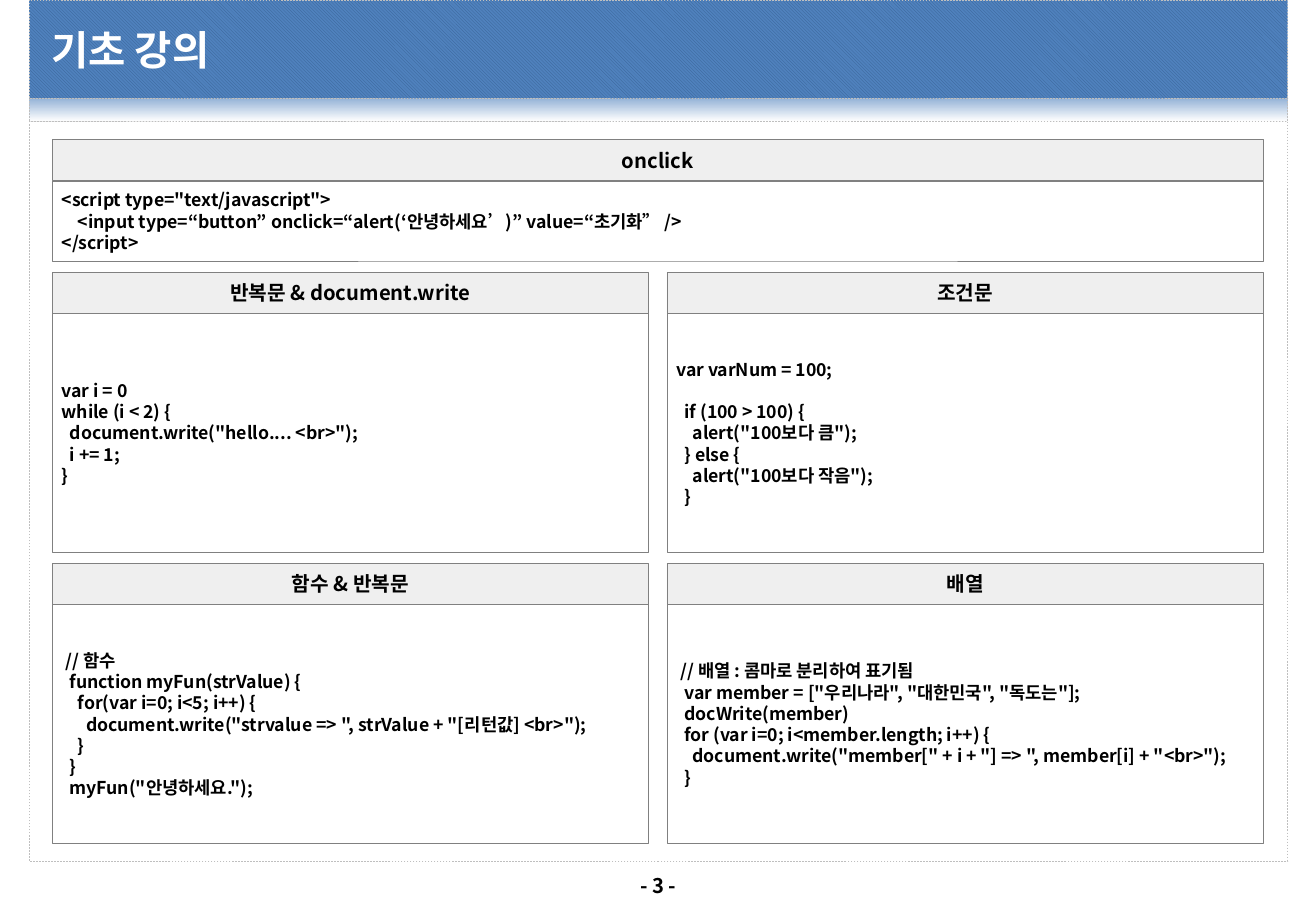
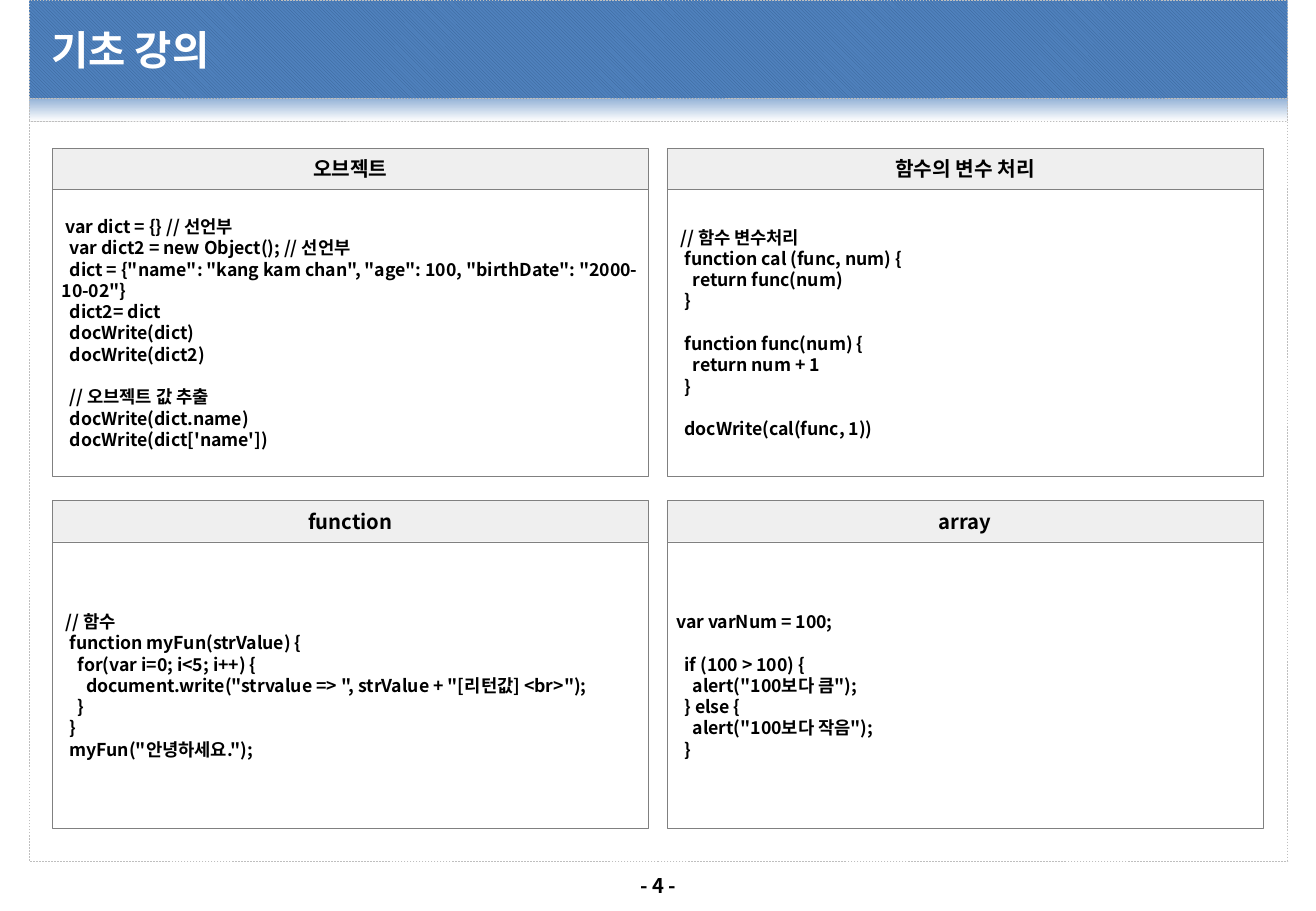
from dataclasses import dataclass

from lxml.etree import SubElement
from pptx import Presentation
from pptx.dml.color import RGBColor
from pptx.enum.dml import MSO_LINE, MSO_PATTERN
from pptx.enum.shapes import MSO_SHAPE
from pptx.enum.text import MSO_ANCHOR, MSO_AUTO_SIZE, PP_ALIGN
from pptx.oxml.ns import qn
from pptx.util import Cm, Pt


@dataclass(frozen=True)
class Theme:
    font: str = "Noto Sans CJK KR"
    black: str = "000000"
    white: str = "FFFFFF"
    blue: str = "4F81BD"
    navy: str = "376092"
    sky: str = "95B3D7"
    dash: str = "BFBFBF"
    edge: str = "808080"
    head: str = "D9D9D9"
    clear: int = 40  # opacity of panel heads, percent
    big: float = 24
    mid: float = 12
    small: float = 10.5
    lead: float = 12.6  # line pitch of code


# Layout in centimetres
LEFT, WIDE = 1.09, 25.32
SPLIT = 0.38
HEAD = 0.86
STEP = 0.17  # two columns of code indent


def rgb(code):
    return RGBColor.from_string(code)


class Deck:
    def __init__(self, theme):
        self.theme = theme
        self.prs = Presentation()
        self.prs.slide_width, self.prs.slide_height = Cm(27.51), Cm(19.05)
        self.slide = None

    def page(self, title, number):
        """Start a slide with its bands, title and page number."""
        t = self.theme
        self.slide = self.prs.slides.add_slide(self.prs.slide_layouts[5])

        # Bands
        fade = self.rect(0.61, 2.06, 26.31, 0.48, t.dash, True).fill
        fade.gradient()
        fade.gradient_angle = 270
        for stop, tint in zip(fade.gradient_stops, (t.sky, t.white)):
            stop.color.rgb = rgb(tint)
        self.paint(self.rect(0.61, 2.54, 26.31, 15.47, t.dash, True), t.white)
        band = self.rect(0.61, 0, 26.31, 2.06, t.dash, True).fill
        band.patterned()
        band.pattern = MSO_PATTERN.LIGHT_DOWNWARD_DIAGONAL
        band.fore_color.rgb, band.back_color.rgb = rgb(t.navy), rgb(t.blue)

        # Title, lifted above the bands
        name = self.slide.shapes.title
        self.slide.shapes.element.append(name.element)
        name.left, name.top, name.width, name.height = (
            Cm(0.97), Cm(0.2), Cm(25.63), Cm(1.68))
        self.frame(name, 0.1)
        self.say(name.text_frame.paragraphs[0], title, t.big, t.white)

        # Page number
        foot = self.slide.shapes.add_textbox(Cm(12.9), Cm(18.14), Cm(1.73), Cm(0.76))
        self.frame(foot, 0.13)
        self.say(foot.text_frame.paragraphs[0], f"- {number} -", t.mid,
                 t.black, PP_ALIGN.CENTER)

    def rect(self, x, y, w, h, line, dashed=False):
        box = self.slide.shapes.add_shape(
            MSO_SHAPE.RECTANGLE, Cm(x), Cm(y), Cm(w), Cm(h))
        box.shadow.inherit = False
        box.line.color.rgb = rgb(line)
        box.line.width = Pt(0.25)
        if dashed:
            box.line.dash_style = MSO_LINE.DASH
        return box

    def paint(self, box, color, alpha=None):
        box.fill.solid()
        box.fill.fore_color.rgb = rgb(color)
        if alpha:
            tint = box.element.spPr.find(qn("a:solidFill"))[0]
            SubElement(tint, qn("a:alpha"), val=str(alpha * 1000))

    def frame(self, box, pad):
        text = box.text_frame
        text.word_wrap = True
        text.auto_size = MSO_AUTO_SIZE.NONE
        text.vertical_anchor = MSO_ANCHOR.MIDDLE
        text.margin_left = text.margin_right = Cm(pad)
        text.margin_top = text.margin_bottom = Cm(pad)

    def say(self, para, words, size, color, align=PP_ALIGN.LEFT):
        para.alignment = align
        run = para.add_run()
        run.text = words
        font = run.font
        font.size, font.bold, font.name = Pt(size), True, self.theme.font
        font.color.rgb = rgb(color)
        SubElement(run._r.get_or_add_rPr(), qn("a:ea"), typeface=self.theme.font)

    def code(self, box, source):
        """Leading blanks become indents, empty lines become spacing."""
        t = self.theme
        text, gap, first = box.text_frame, 0, True
        for line in source.strip("\n").splitlines():
            words = line.lstrip()
            if not words:
                gap += t.lead
                continue
            para = text.paragraphs[0] if first else text.add_paragraph()
            self.say(para, words, t.small, t.black)
            para.line_spacing, para.space_before = Pt(t.lead), Pt(gap)
            indent = Cm(STEP * (len(line) - len(words)) / 2)
            props = para._p.get_or_add_pPr()
            props.set("marL", "0")
            props.set("indent", str(int(indent)))
            gap, first = 0, False

    def panel(self, x, y, w, h, title, source):
        t = self.theme
        body = self.rect(x, y + HEAD, w, h, t.edge)
        self.paint(body, t.white)
        self.frame(body, 0.2)
        self.code(body, source)
        head = self.rect(x, y, w, HEAD, t.edge)
        self.paint(head, t.head, t.clear)
        self.frame(head, 0.2)
        self.say(head.text_frame.paragraphs[0], title, t.mid, t.black,
                 PP_ALIGN.CENTER)

    def stack(self, top, gap, rows):
        """Rows of equal panels; a row is (code height, panels)."""
        for high, cells in rows:
            wide = (WIDE - SPLIT * (len(cells) - 1)) / len(cells)
            for i, (title, source) in enumerate(cells):
                self.panel(LEFT + i * (wide + SPLIT), top, wide, high, title, source)
            top += HEAD + high + gap


# Code samples
CLICK = """
<script type="text/javascript">
    <input type=“button” onclick=“alert(‘안녕하세요’)” value=“초기화” />
</script>
"""
LOOP = """
var i = 0
while (i < 2) {
  document.write("hello.... <br>");
  i += 1;
}
"""
TEST = """
var varNum = 100;

  if (100 > 100) {
    alert("100보다 큼");
  } else {
    alert("100보다 작음");
  }
"""
FUNC = """
 // 함수
  function myFun(strValue) {
    for(var i=0; i<5; i++) {
      document.write("strvalue => ", strValue + "[리턴값] <br>");
    }
  }
  myFun("안녕하세요.");
"""
LIST = """
 // 배열 : 콤마로 분리하여 표기됨
  var member = ["우리나라", "대한민국", "독도는"];
  docWrite(member)
  for (var i=0; i<member.length; i++) {
    document.write("member[" + i + "] => ", member[i] + "<br>");
  }
"""
DICT = """
 var dict = {} // 선언부
  var dict2 = new Object(); // 선언부
  dict = {"name": "kang kam chan", "age": 100, "birthDate": "2000-10-02"}
  dict2= dict
  docWrite(dict)
  docWrite(dict2)

  // 오브젝트 값 추출
  docWrite(dict.name)
  docWrite(dict['name'])
"""
CALL = """
 // 함수 변수처리
  function cal (func, num) {
    return func(num)
  }

  function func(num) {
    return num + 1
  }

  docWrite(cal(func, 1))
"""


def main():
    deck = Deck(Theme())
    title = "기초 강의"

    # Events, loops, conditions, arrays
    deck.page(title, 3)
    deck.stack(2.92, 0.23, [
        (1.68, [("onclick", CLICK)]),
        (5, [("반복문 & document.write", LOOP), ("조건문", TEST)]),
        (5, [("함수 & 반복문", FUNC), ("배열", LIST)]),
    ])

    # Objects and functions
    deck.page(title, 4)
    deck.stack(3.1, 0.51, [
        (6, [("오브젝트", DICT), ("함수의 변수 처리", CALL)]),
        (6, [("function", FUNC), ("array", TEST)]),
    ])

    deck.prs.save("out.pptx")


if __name__ == "__main__":
    main()
